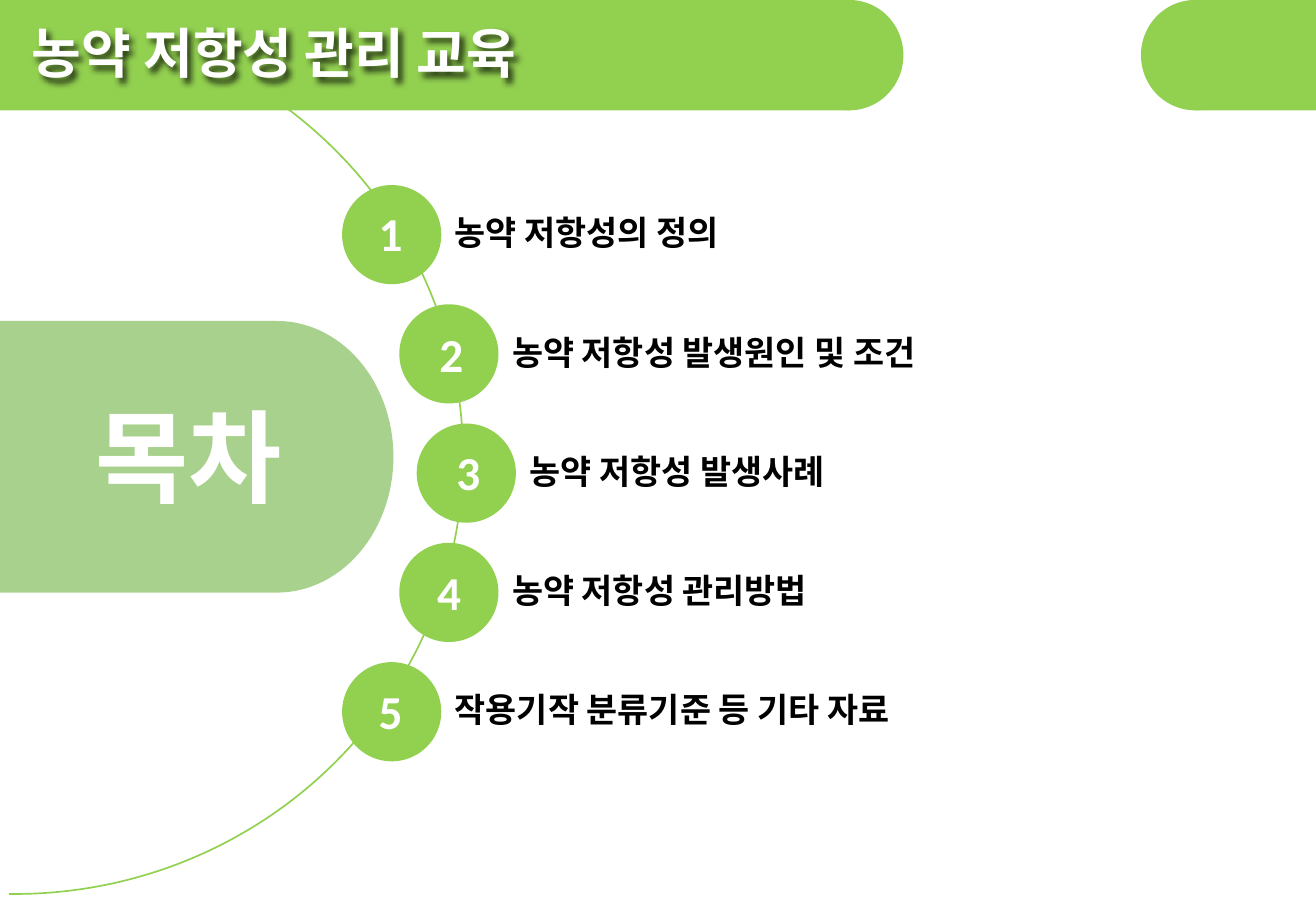
import math
from dataclasses import dataclass
from typing import Optional

import pptx
import pptx.dml.color
import pptx.enum.shapes
import pptx.enum.text
import pptx.oxml
import pptx.oxml.ns
import pptx.util

Pt = pptx.util.Pt
Shape = pptx.enum.shapes.MSO_SHAPE
Align = pptx.enum.text.PP_ALIGN
Anchor = pptx.enum.text.MSO_ANCHOR


@dataclass(frozen=True)
class Theme:
    green: str = "92D050"
    pale_green: str = "A9D18E"
    white: str = "FFFFFF"
    black: str = "000000"
    latin_font: str = "Calibri"
    korean_font: str = "Noto Sans CJK KR"
    contents_size: float = 60
    title_size: float = 32
    number_size: float = 28
    topic_size: float = 20


@dataclass(frozen=True)
class Box:
    left: float
    top: float
    width: float
    height: float

    def emu(self) -> tuple:
        return tuple(Pt(v) for v in (self.left, self.top, self.width, self.height))


@dataclass(frozen=True)
class Topic:
    title: str
    circle_left: float
    number_left: float
    number_top: float


THEME = Theme()
SLIDE_WIDTH, SLIDE_HEIGHT = 780, 540
HEADER_HEIGHT = 65.4
CAP_WIDTH = 64
CIRCLE_SIZE = 58.8
FIRST_CIRCLE_TOP, TOPIC_PITCH = 109.7, 70.7

TOPICS = (
    Topic("농약 저항성의 정의", 202.8, 217.4, 117.5),
    Topic("농약 저항성 발생원인 및 조건", 236.7, 253.3, 189),
    Topic("농약 저항성 발생사례", 247, 263.5, 259.3),
    Topic("농약 저항성 관리방법", 236.7, 252, 330.6),
    Topic("작용기작 분류기준 등 기타 자료", 202.8, 217.4, 401),
)


def rgb(colour: str) -> pptx.dml.color.RGBColor:
    return pptx.dml.color.RGBColor.from_string(colour)


def paint(shape, colour: str) -> None:
    shape.shadow.inherit = False
    shape.fill.solid()
    shape.fill.fore_color.rgb = rgb(colour)
    shape.line.fill.background()


def add_filled(slide, preset, box: Box, colour: str) -> None:
    paint(slide.shapes.add_shape(preset, *box.emu()), colour)


def add_text(slide, text: str, box: Box, *, size: float, colour: str = THEME.white,
             font: str = THEME.latin_font, align=Align.LEFT, anchor=Anchor.MIDDLE,
             insets: tuple = (7.2, 3.6, 7.2, 3.6), wrap: bool = True,
             line_spacing: Optional[float] = None, space_after: float = 0):
    textbox = slide.shapes.add_textbox(*box.emu())
    frame = textbox.text_frame
    frame.word_wrap = wrap
    frame.vertical_anchor = anchor
    (frame.margin_left, frame.margin_top,
     frame.margin_right, frame.margin_bottom) = (Pt(inset) for inset in insets)
    paragraph = frame.paragraphs[0]
    paragraph.alignment = align
    paragraph.line_spacing = line_spacing
    paragraph.space_after = Pt(space_after)
    run = paragraph.add_run()
    run.text = text
    run.font.size = Pt(size)
    run.font.bold = True
    run.font.color.rgb = rgb(colour)
    run.font.name = font
    east_asian = pptx.oxml.parse_xml(
        f'<a:ea {pptx.oxml.ns.nsdecls("a")} typeface="{THEME.korean_font}"/>')
    run.font._element.find(pptx.oxml.ns.qn("a:latin")).addnext(east_asian)
    return textbox


def add_soft_shadow(textbox) -> None:
    """Cast a blurred shadow from the letters of an unfilled text box."""
    textbox._element.spPr.append(pptx.oxml.parse_xml(
        f'<a:effectLst {pptx.oxml.ns.nsdecls("a")}>'
        f'<a:outerShdw blurRad="{Pt(4)}" dist="{Pt(3)}" dir="2700000" algn="tl" rotWithShape="0">'
        f'<a:srgbClr val="{THEME.black}"><a:alpha val="70000"/></a:srgbClr>'
        '</a:outerShdw></a:effectLst>'))


def add_guide_arc(slide) -> None:
    arc = slide.shapes.add_shape(Shape.ARC, *Box(-257, 10.8, 531.4, 519.1).emu())
    arc.adjustments[0] = 162
    arc.adjustments[1] = 54.46
    arc.shadow.inherit = False
    arc.fill.background()
    arc.line.color.rgb = rgb(THEME.green)
    arc.line.width = Pt(1)


def add_contents_tab(slide) -> None:
    """Draw the tab with a half-elliptical right end and its heading."""
    centre_x, centre_y, radius_x, radius_y = 164.2, 270.8, 69, 80.5
    steps = 60
    angles = [math.pi * (step / steps - 0.5) for step in range(steps + 1)]
    outline = [(centre_x + radius_x * math.cos(a), centre_y + radius_y * math.sin(a))
               for a in angles]
    outline.append((0, centre_y + radius_y))
    builder = slide.shapes.build_freeform(Pt(0), Pt(centre_y - radius_y))
    builder.add_line_segments([(Pt(x), Pt(y)) for x, y in outline], close=True)
    paint(builder.convert_to_shape(), THEME.pale_green)
    add_text(slide, "목차", Box(0, 229.7, 223.2, 80), size=THEME.contents_size,
             align=Align.CENTER)


def add_topic(slide, index: int, topic: Topic) -> None:
    circle_top = FIRST_CIRCLE_TOP + index * TOPIC_PITCH
    label_left = topic.circle_left + CIRCLE_SIZE / 2
    add_text(slide, topic.title,
             Box(label_left, circle_top + 6, SLIDE_WIDTH - label_left, 47),
             size=THEME.topic_size, colour=THEME.black, insets=(37.4, 4.3, 4.3, 4.3),
             line_spacing=0.9, space_after=7)
    add_filled(slide, Shape.OVAL,
               Box(topic.circle_left, circle_top, CIRCLE_SIZE, CIRCLE_SIZE), THEME.green)
    add_text(slide, str(index + 1), Box(topic.number_left, topic.number_top, 36, 41),
             size=THEME.number_size, anchor=Anchor.TOP)


def add_header(slide) -> None:
    left_bar_end, right_bar_start = 503.5, 708.3
    bars = ((left_bar_end, 0, left_bar_end),
            (right_bar_start, right_bar_start, SLIDE_WIDTH - right_bar_start))
    for cap_centre, bar_left, bar_width in bars:
        add_filled(slide, Shape.OVAL,
                   Box(cap_centre - CAP_WIDTH / 2, 0, CAP_WIDTH, HEADER_HEIGHT), THEME.green)
        add_filled(slide, Shape.RECTANGLE,
                   Box(bar_left, 0, bar_width, HEADER_HEIGHT), THEME.green)
    title = add_text(slide, "농약 저항성 관리 교육", Box(18.9, 10.1, 550, 41.8),
                     size=THEME.title_size, font=THEME.korean_font,
                     insets=(0, 0, 0, 0), wrap=False)
    add_soft_shadow(title)


def main() -> None:
    deck = pptx.Presentation()
    deck.slide_width, deck.slide_height = Pt(SLIDE_WIDTH), Pt(SLIDE_HEIGHT)
    slide = deck.slides.add_slide(deck.slide_layouts[6])
    add_guide_arc(slide)
    add_contents_tab(slide)
    for index, topic in enumerate(TOPICS):
        add_topic(slide, index, topic)
    add_header(slide)
    deck.save("out.pptx")


if __name__ == "__main__":
    main()
